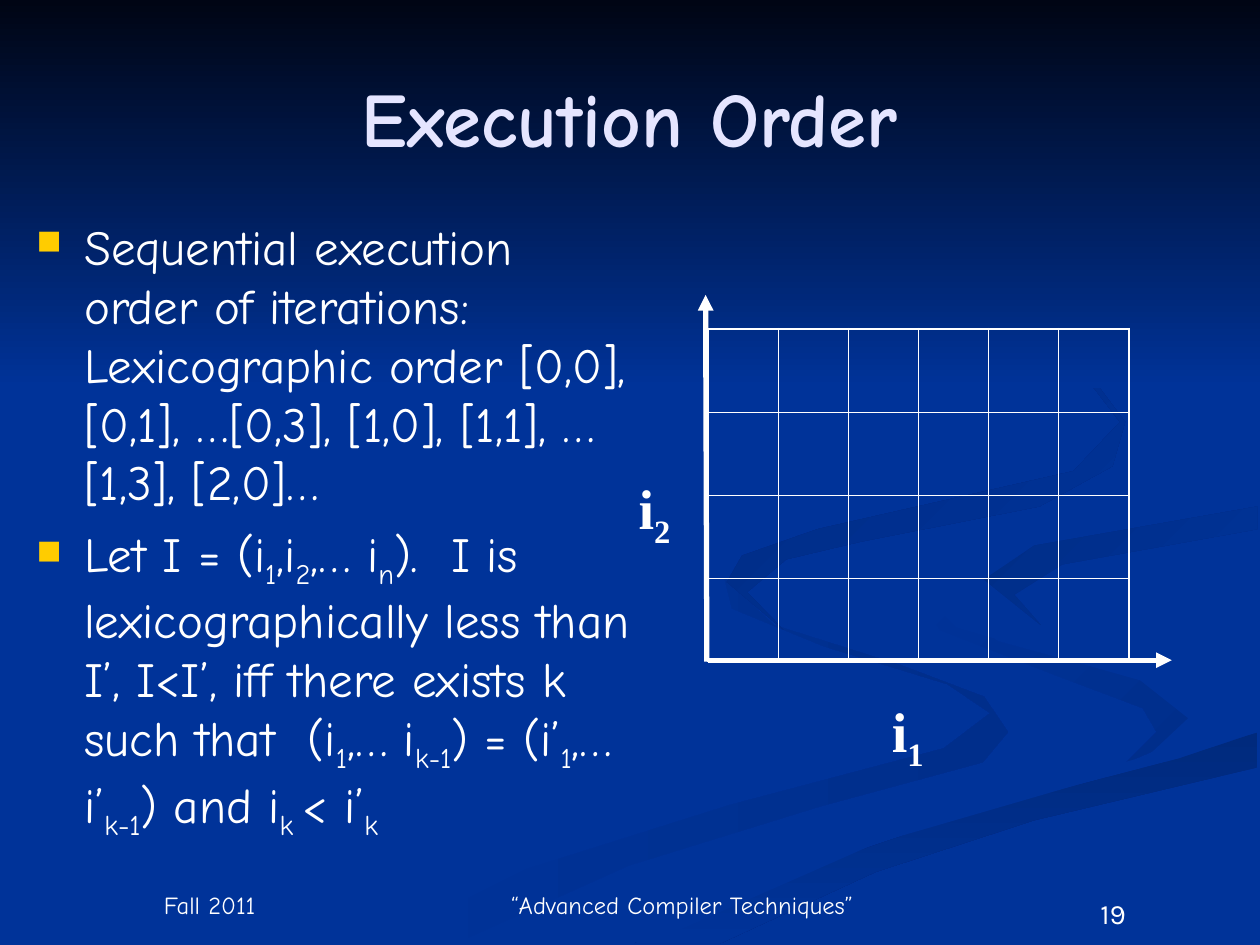
from dataclasses import dataclass
from itertools import product

from lxml.etree import SubElement
from pptx import Presentation
from pptx.dml.color import RGBColor
from pptx.enum.shapes import MSO_CONNECTOR, MSO_SHAPE
from pptx.enum.text import MSO_ANCHOR, PP_ALIGN
from pptx.oxml import parse_xml
from pptx.oxml.ns import nsdecls, qn
from pptx.util import Inches, Pt


@dataclass(frozen=True)
class Theme:
    """Colours, fonts and type sizes of the slide."""
    background: str = "003399"
    night: str = "000514"
    title: str = "E5E5FF"
    ink: str = "FFFFFF"
    bullet: str = "FFCC00"
    body_font: str = "Comic Neue"
    number_font: str = "Karla"
    label_font: str = "Times New Roman"
    title_size: int = 44
    label_size: int = 32
    body_size: int = 28
    number_size: int = 16
    footer_size: int = 14
    axis_width: float = 3
    outer_border: float = 1.08
    inner_border: float = 0.45


THEME = Theme()
BLUE = THEME.background

SWOOSHES = [
    (BLUE, "002E8B", 0, [
        (7.81, 5.53), (7.15, 5.28), (6.14, 4.96), (5.75, 4.59), (5.81, 4.83), (6.54, 5.13),
        (7.52, 5.43), (7.86, 5.66), (7.49, 5.94), (5.79, 6.39), (4.17, 6.9), (3, 7.49),
        (3.61, 7.49), (4.99, 6.87), (6.51, 6.4), (7.8, 6.05), (8, 5.81)]),
    (BLUE, "002E8B", 45, [
        (9.43, 5.7), (9.05, 5.4), (7.92, 5.09), (7.24, 4.64), (7.46, 5), (8.38, 5.36),
        (9.07, 5.62), (9.18, 5.81), (8.94, 6.05), (9.32, 5.89)]),
    ("002A7D", BLUE, 90, [
        (5.03, 7.49), (5.71, 7.49), (6.95, 6.92), (8.21, 6.51), (9.98, 6.09), (9.98, 5.81),
        (9.36, 6.02), (7.64, 6.47), (6.3, 6.93)]),
    (BLUE, BLUE, 0, [
        (7.25, 4.64), (7.59, 4.98), (9.05, 5.4), (9.43, 5.7), (9.11, 6), (7.04, 6.55),
        (4.77, 7.49), (5.19, 7.47), (6.96, 6.69), (9.99, 5.81), (9.99, 5.38), (8.66, 5.09),
        (7.81, 4.63), (8.22, 4.34), (9.99, 4.02), (9.99, 3.87), (8.08, 4.17)]),
    ("002D86", BLUE, 45, [
        (7.81, 4.6), (8.26, 4.96), (8.05, 4.72), (8.43, 4.48), (9.98, 4.2), (9.98, 4.02),
        (8.21, 4.33)]),
    ("002B82", BLUE, 45, [
        (6.83, 4.3), (8.25, 4.02), (8.83, 3.7), (8.93, 3.35), (8.54, 2.83), (7.62, 2.33),
        (8.46, 2.79), (8.89, 3.35), (8.52, 3.74), (6.49, 4.2), (5.89, 4.41), (5.77, 4.62),
        (6.22, 5), (5.93, 4.7), (6.24, 4.44)]),
]

ORDER_POINTS = [
    "Sequential execution order of iterations: Lexicographic order [0,0], [0,1], "
    "…[0,3], [1,0], [1,1], …[1,3], [2,0]…",
    "Let I = (i_1_,i_2_,… i_n_).  I is lexicographically less than I’, I<I’, iff there "
    "exists k such that  (i_1_,… i_k-1_) = (i’_1_,… i’_k-1_) and i_k _< i’_k_",
]


def write_text(paragraph, text, *, size, font=THEME.body_font, color=THEME.ink,
               bold=False, align=PP_ALIGN.LEFT):
    """Write text into a paragraph, lowering the parts between underscores."""
    paragraph.alignment = align
    for index, part in enumerate(text.split("_")):
        if not part:
            continue
        run = paragraph.add_run()
        run.text = part
        run.font.size, run.font.name, run.font.bold = Pt(size), font, bold
        run.font.color.rgb = RGBColor.from_string(color)
        if index % 2:
            run._r.get_or_add_rPr().set("baseline", "-25000")


class SlideBuilder:
    """Holds the theme and the current slide and adds its elements."""

    def __init__(self, slide, theme):
        self.slide, self.theme = slide, theme
        self.shapes = slide.shapes
        fill = slide.background.fill
        fill.solid()
        fill.fore_color.rgb = RGBColor.from_string(theme.background)

    def paint_gradient(self, shape, start, end, angle):
        """Fill a shape with a two-colour gradient at a clockwise angle."""
        shape.shadow.inherit = False
        shape.line.fill.background()
        shape.fill.gradient()
        shape.fill.gradient_angle = -angle % 360
        for stop, color, position in zip(shape.fill.gradient_stops, (start, end), (0, 1)):
            stop.color.rgb = RGBColor.from_string(color)
            stop.position = position

    def add_swoosh(self, start, end, angle, points):
        """Add a closed decorative outline."""
        first, *rest = [(Inches(x), Inches(y)) for x, y in points]
        builder = self.shapes.build_freeform(*first)
        builder.add_line_segments(rest, close=True)
        self.paint_gradient(builder.convert_to_shape(), start, end, angle)

    def add_sky(self, height):
        """Add the dark band across the top."""
        band = self.shapes.add_shape(MSO_SHAPE.RECTANGLE, 0, 0, Inches(10), Inches(height))
        self.paint_gradient(band, self.theme.night, self.theme.background, 90)

    def add_title(self, text, left, top, width, height):
        """Place the title above the decoration."""
        title = self.shapes.title
        self.shapes._spTree.append(title._element)
        title.left, title.top = Inches(left), Inches(top)
        title.width, title.height = Inches(width), Inches(height)
        title.text_frame.vertical_anchor = MSO_ANCHOR.MIDDLE
        write_text(title.text_frame.paragraphs[0], text, size=self.theme.title_size,
                   color=self.theme.title, bold=True, align=PP_ALIGN.CENTER)

    def add_frame(self, left, top, width, height, wrap=True):
        """Add a text box and return its text frame."""
        box = self.shapes.add_textbox(Inches(left), Inches(top), Inches(width), Inches(height))
        box.text_frame.word_wrap = wrap
        return box.text_frame

    def add_text(self, text, left, top, width, height, *, anchor=MSO_ANCHOR.TOP,
                 wrap=True, **style):
        """Add a one-paragraph text box."""
        frame = self.add_frame(left, top, width, height, wrap)
        frame.vertical_anchor = anchor
        write_text(frame.paragraphs[0], text, **style)

    def add_bullets(self, items, left, top, width, height):
        """Add a list with square bullets."""
        frame = self.add_frame(left, top, width, height)
        for index, item in enumerate(items):
            paragraph = frame.add_paragraph() if index else frame.paragraphs[0]
            properties = paragraph._p.get_or_add_pPr()
            properties.set("marL", str(Inches(0.38)))
            properties.set("indent", str(-Inches(0.38)))
            color = SubElement(properties, qn("a:buClr"))
            SubElement(color, qn("a:srgbClr"), val=self.theme.bullet)
            SubElement(properties, qn("a:buSzPct"), val="70000")
            SubElement(properties, qn("a:buChar"), char="■")
            if index:
                paragraph.space_before = Pt(7)
            write_text(paragraph, item, size=self.theme.body_size)

    def add_grid(self, rows, columns, left, top, width, height):
        """Add an empty table with a heavier outer border."""
        table = self.shapes.add_table(rows, columns, Inches(left), Inches(top),
                                      Inches(width), Inches(height)).table
        table.first_row = table.horz_banding = False
        for row, column in product(range(rows), range(columns)):
            cell = table.cell(row, column)
            cell.fill.background()
            outer = {"L": column == 0, "R": column == columns - 1,
                     "T": row == 0, "B": row == rows - 1}
            for index, (side, is_outer) in enumerate(outer.items()):
                weight = Pt(self.theme.outer_border if is_outer else self.theme.inner_border)
                cell._tc.get_or_add_tcPr().insert(index, parse_xml(
                    f'<a:ln{side} {nsdecls("a")} w="{weight}"><a:solidFill>'
                    f'<a:srgbClr val="{self.theme.ink}"/></a:solidFill></a:ln{side}>'))

    def add_axis(self, *ends):
        """Add an axis with an arrowhead at its far end."""
        axis = self.shapes.add_connector(MSO_CONNECTOR.STRAIGHT, *map(Inches, ends))
        axis.line.width = Pt(self.theme.axis_width)
        axis.line.color.rgb = RGBColor.from_string(self.theme.ink)
        SubElement(axis.line._get_or_add_ln(), qn("a:tailEnd"), type="triangle")
        SubElement(axis._element.spPr, qn("a:effectLst"))


def main():
    """Build the slide and save it."""
    presentation = Presentation()
    presentation.slide_width, presentation.slide_height = Inches(10), Inches(7.5)
    builder = SlideBuilder(presentation.slides.add_slide(presentation.slide_layouts[5]), THEME)
    for swoosh in SWOOSHES:
        builder.add_swoosh(*swoosh)
    builder.add_sky(3.08)
    builder.add_text("19", 8, 7.07, 1.67, 0.4, size=THEME.number_size,
                     font=THEME.number_font, align=PP_ALIGN.CENTER)
    for text, left, width in (("Fall 2011", 0.5, 2.33),
                              ("“Advanced Compiler Techniques”", 3.83, 3.17)):
        builder.add_text(text, left, 7, width, 0.35, anchor=MSO_ANCHOR.BOTTOM,
                         size=THEME.footer_size, align=PP_ALIGN.CENTER)
    builder.add_title("Execution Order", 0.5, 0.3, 9, 1.25)
    builder.add_bullets(ORDER_POINTS, 0.19, 1.67, 4.97, 5.25)
    builder.add_grid(4, 6, 5.62, 2.61, 3.34, 2.64)
    for text, left, top in (("i_1_", 6.98, 5.48), ("i_2_", 4.97, 3.71)):
        builder.add_text(text, left, top, 0.5, 0.71, wrap=False, size=THEME.label_size,
                         font=THEME.label_font, bold=True)
    builder.add_axis(5.62, 5.24, 9.3, 5.24)
    builder.add_axis(5.61, 5.25, 5.6, 2.34)
    presentation.save("out.pptx")


if __name__ == "__main__":
    main()
